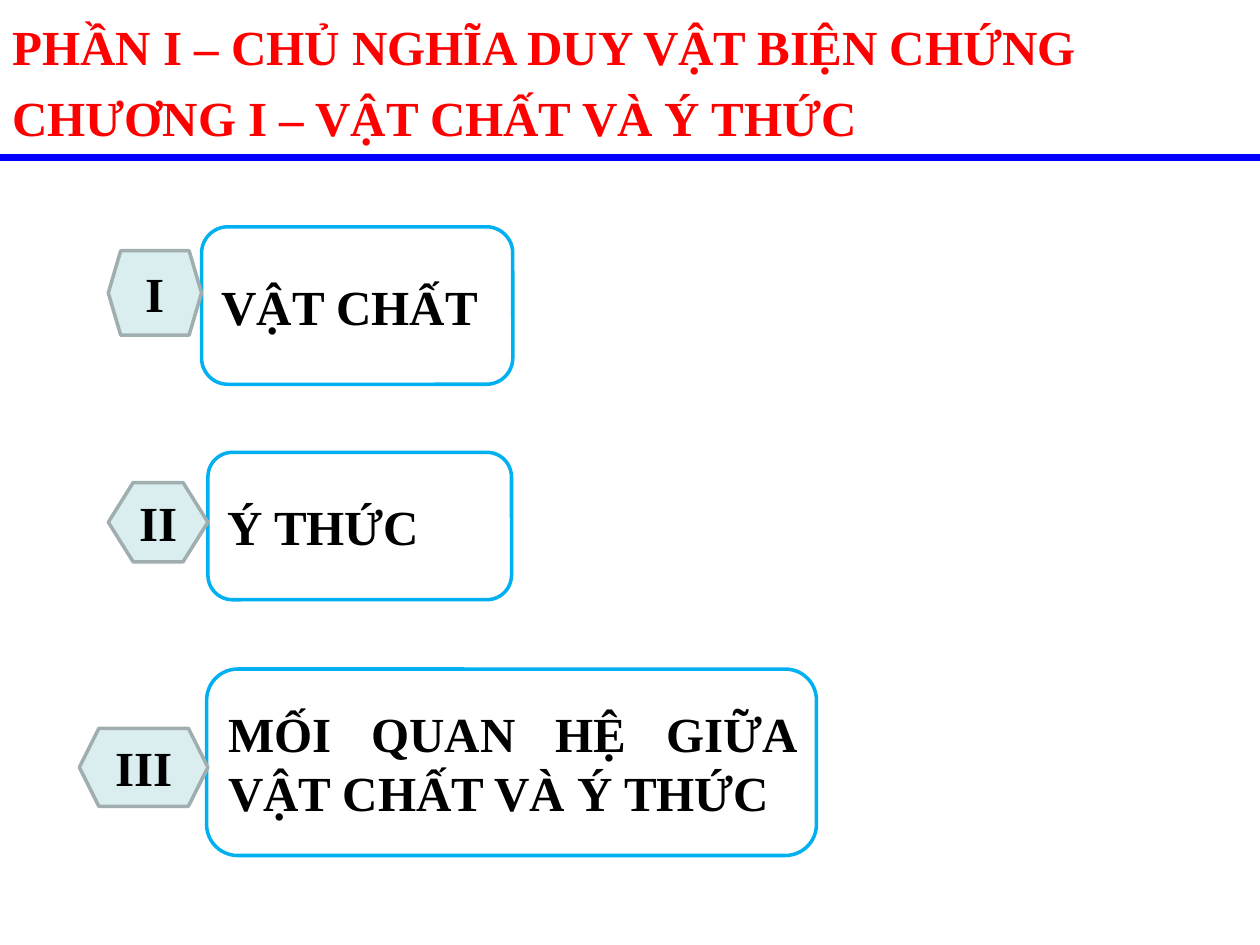
from dataclasses import dataclass

from pptx import Presentation
from pptx.dml.color import RGBColor
from pptx.enum.shapes import MSO_CONNECTOR, MSO_SHAPE
from pptx.enum.text import MSO_ANCHOR, MSO_AUTO_SIZE, PP_ALIGN
from pptx.oxml.ns import qn
from pptx.util import Emu, Pt
from lxml import etree

STRAIGHT = MSO_CONNECTOR.STRAIGHT
ROUNDED, HEXAGON = MSO_SHAPE.ROUNDED_RECTANGLE, MSO_SHAPE.HEXAGON
CENTER, JUSTIFY = PP_ALIGN.CENTER, PP_ALIGN.JUSTIFY
MIDDLE = MSO_ANCHOR.MIDDLE
GROW = MSO_AUTO_SIZE.SHAPE_TO_FIT_TEXT

PX = 9144  # 100 px to the inch
WIDTH, HEIGHT = 1000, 750
FONT, FONT_SIZE = "Times New Roman", 28

Box = tuple[int, int, int, int]


@dataclass
class Section:
    numeral: str
    title: str
    badge: Box
    panel: Box
    badge_adj: float


SECTIONS = [
    Section("I", "VẬT CHẤT", (86, 199, 74, 67), (160, 180, 247, 125), 0.147),
    Section("II", "Ý THỨC", (86, 383, 79, 63), (165, 359, 241, 117), 0.313),
    Section("III", "MỐI QUAN HỆ GIỮA VẬT CHẤT VÀ Ý THỨC",
            (63, 578, 102, 62), (164, 531, 484, 148), 0.25),
]
HEADING = ["PHẦN I – CHỦ NGHĨA DUY VẬT BIỆN CHỨNG",
           "CHƯƠNG I – VẬT CHẤT VÀ Ý THỨC"]


def px(*lengths: int) -> list[Emu]:
    return [Emu(n * PX) for n in lengths]


def color(value: str) -> RGBColor:
    return RGBColor.from_string(value)


def style_paragraph(p, text: str, align, hex_color: str) -> None:
    p.text = text
    p.alignment = align
    p.font.name = FONT
    p.font.size = Pt(FONT_SIZE)
    p.font.bold = True
    p.font.color.rgb = color(hex_color)


def add_label(group, kind, box: Box, adj: float, fill: str, line: str,
              text: str, align) -> None:
    sp = group.shapes.add_shape(kind, *px(*box))
    sp.adjustments[0] = adj
    sp.shadow.inherit = False
    sp.fill.solid()
    sp.fill.fore_color.rgb = color(fill)
    sp.line.color.rgb = color(line)
    sp.line.width = Pt(2)
    tf = sp.text_frame
    tf.word_wrap = True
    tf.vertical_anchor = MIDDLE
    style_paragraph(tf.paragraphs[0], text, align, "000000")


def add_section(s, section: Section) -> None:
    group = s.shapes.add_group_shape()
    add_label(group, ROUNDED, section.panel, 0.167, "FFFFFF", "00B0F0",
              section.title, JUSTIFY)
    add_label(group, HEXAGON, section.badge, section.badge_adj, "DAEDEF",
              "A0AEB0", section.numeral, CENTER)


def add_rule(s, y: int) -> None:
    rule = s.shapes.add_connector(STRAIGHT, *px(0, y, WIDTH, y))
    rule.line.color.rgb = color("0000FF")
    rule.line.width = Pt(4.5)
    etree.SubElement(rule._element.spPr, qn("a:effectLst"))


def add_heading(s, box: Box, lines: list[str]) -> None:
    tf = s.shapes.add_textbox(*px(*box)).text_frame
    tf.word_wrap = True
    tf.auto_size = GROW
    for i, text in enumerate(lines):
        p = tf.add_paragraph() if i else tf.paragraphs[0]
        style_paragraph(p, text, JUSTIFY, "FF0000")
        p.line_spacing = 1.2


def main() -> None:
    prs = Presentation()
    prs.slide_width, prs.slide_height = px(WIDTH, HEIGHT)
    s = prs.slides.add_slide(prs.slide_layouts[6])

    # Heading and the rule under it
    add_rule(s, 125)
    add_heading(s, (0, -1, WIDTH, 122), HEADING)

    # Numbered sections
    for section in SECTIONS:
        add_section(s, section)

    prs.save("out.pptx")


if __name__ == "__main__":
    main()
